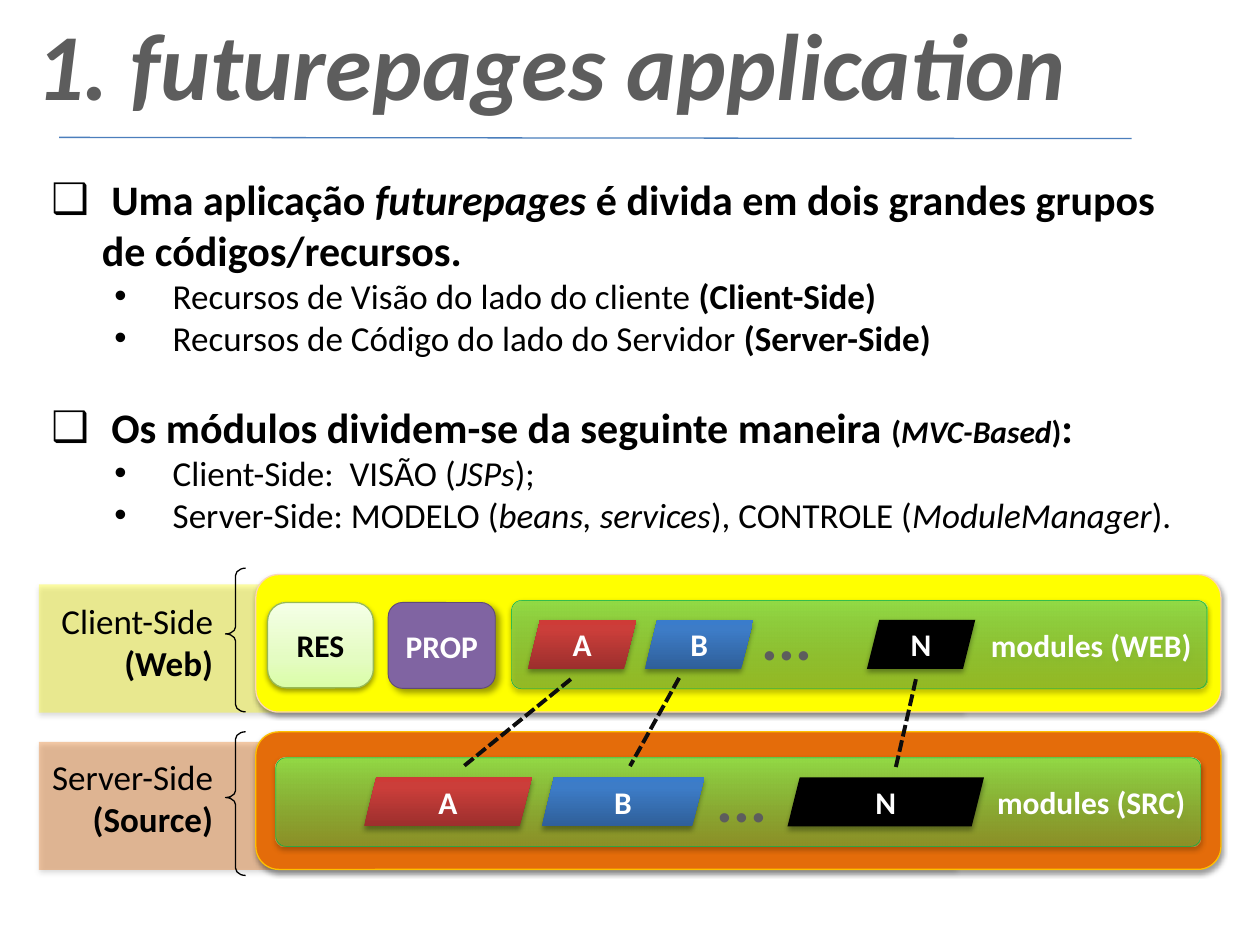
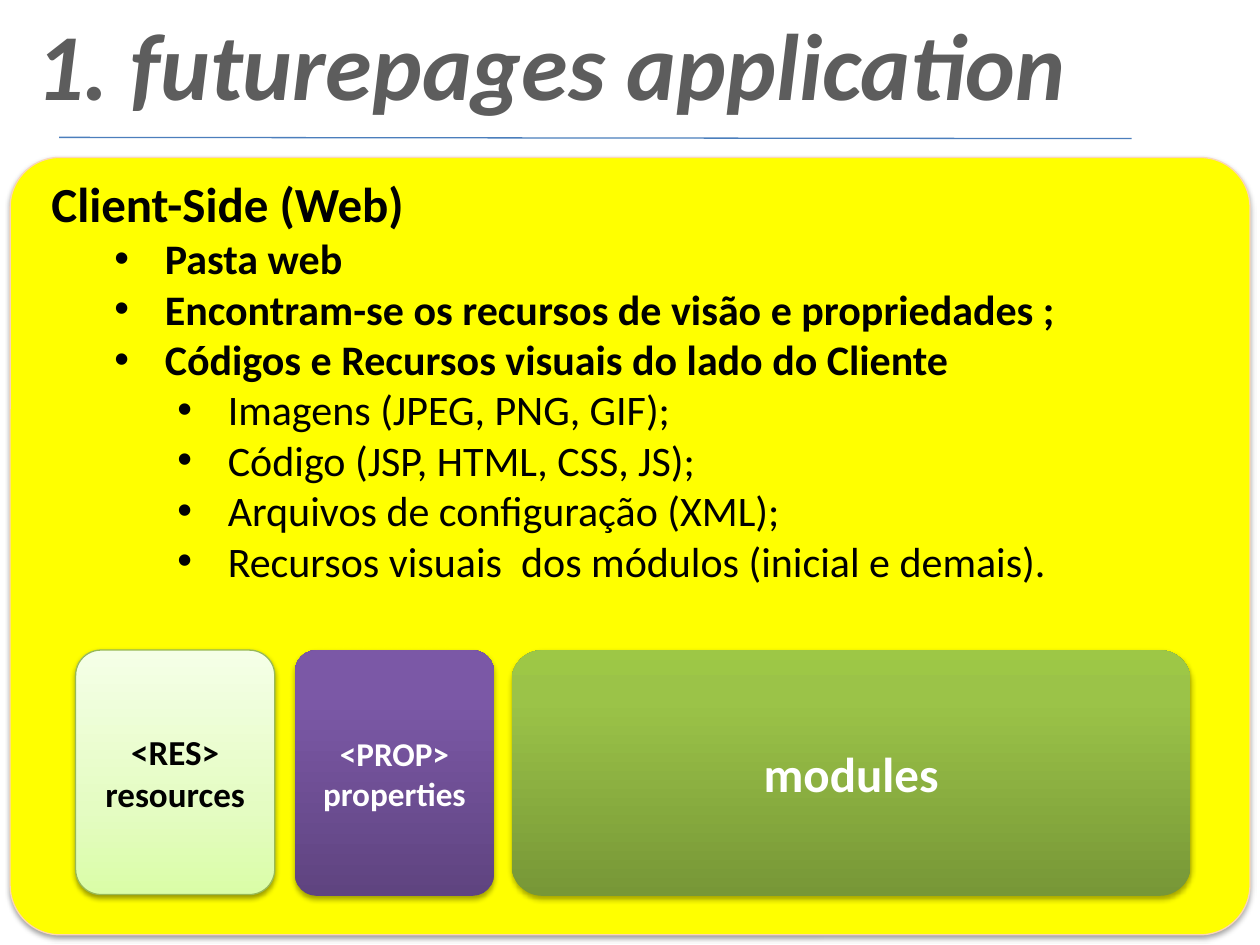
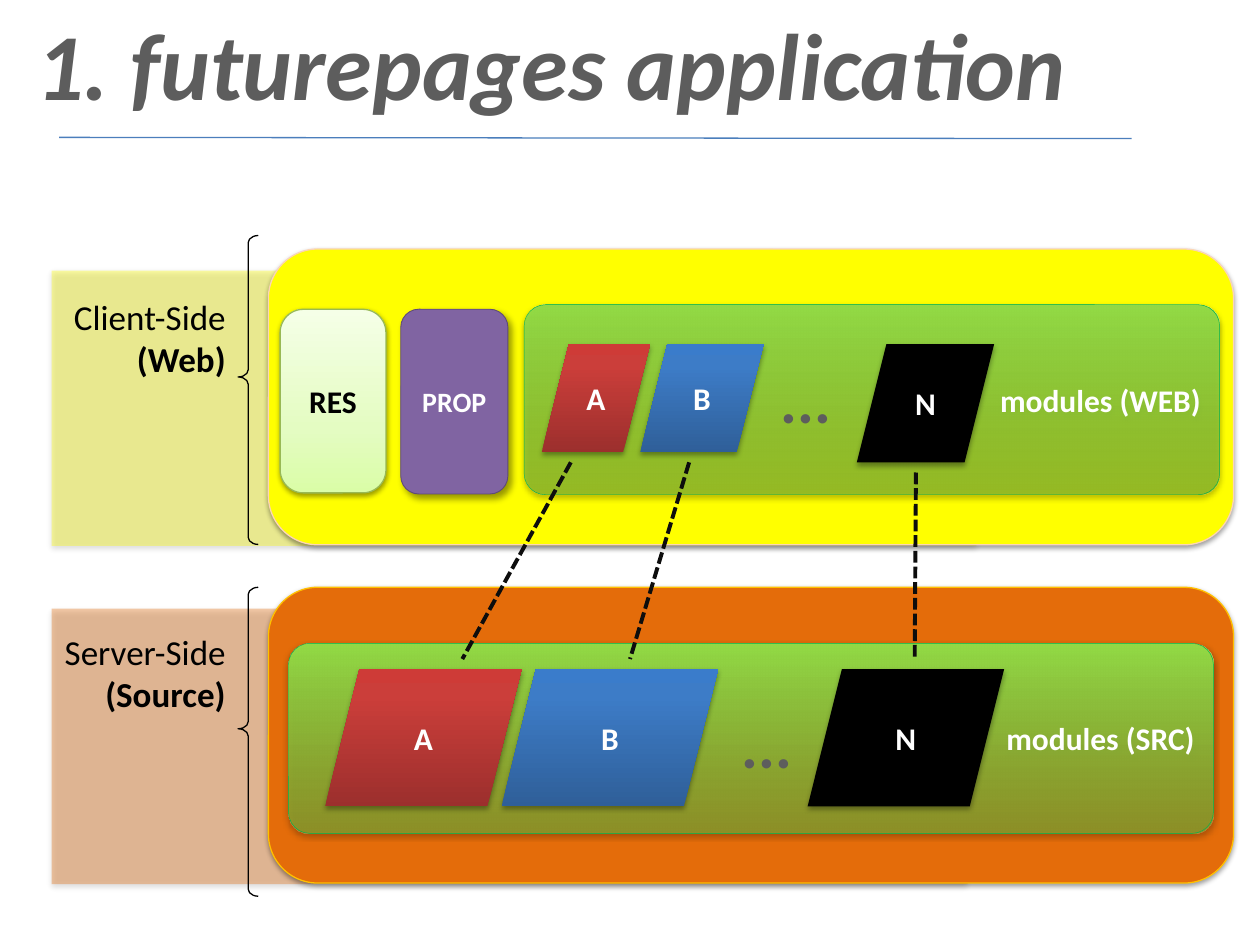
import lxml.etree
import pptx
import pptx.dml.color
import pptx.enum.dml
import pptx.enum.shapes
import pptx.enum.text
import pptx.oxml.ns
import pptx.util

Pt = pptx.util.Pt
RGB = pptx.dml.color.RGBColor.from_string
qn = pptx.oxml.ns.qn
SubElement = lxml.etree.SubElement
KIND = pptx.enum.shapes.MSO_SHAPE
ALIGN = pptx.enum.text.PP_ALIGN
DASH = pptx.enum.dml.MSO_LINE

SOFT = (38, 3.1, 1.6, 90)
TILE = (35, 3.1, 1.8, 90)
SIDE = (40, 4, 3, 45)
THEME = {
    "font": "Calibri",
    "text": "000000",
    "inverse": "FFFFFF",
    "title": "5D5D5D",
    "rule": "4B7EBC",
    "link": "0D0D0D",
    "size": {"title": 54, "dots": 36, "big": 28, "head": 24, "body": 20,
             "properties": 19, "label": 18, "small": 16},
    "styles": {
        "client": ([(0, "FFFF00", 100)], ("FCD5B5", 0.75), SOFT),
        "server": ([(0, "E46C0A", 100)], ("FFC000", 0.75), SOFT),
        "client back": ([(0, "FFFF00", 35)], None, SOFT),
        "server back": ([(0, "E46C0A", 35)], None, SOFT),
        "modules": ([(0, "7BB73B", 61), (100, "92DA46", 100)], ("00B050", 0.25), SOFT),
        "modules big": ([(0, "779737", 100), (80, "9BC348", 100), (100, "9DC746", 100)], None, TILE),
        "prop": ([(0, "8064A2", 100)], ("5F4A78", 0.5), SIDE),
        "prop big": ([(0, "5F4480", 100), (80, "7B58A6", 100), (100, "7C57A8", 100)], None, TILE),
        "res": ([(0, "DAFDA7", 100), (35, "E4FCC2", 100), (100, "F5FFE7", 100)], ("98B955", 0.75), SOFT),
        "A": ([(0, "9C2F2D", 100), (80, "CB3E3A", 100), (100, "CE3B37", 100)], None, TILE),
        "B": ([(0, "2F5F99", 100), (80, "3D7CC7", 100), (100, "3A7CCB", 100)], None, TILE),
        "N": ([(0, "000000", 100)], None, TILE),
        "brace": (None, ("000000", 0.75), None),
    },
}
SIZE = THEME["size"]


def write(sp, paras, size, color="text", align=ALIGN.CENTER, wrap=True):
    tf = sp.text_frame
    tf.word_wrap = wrap
    for i, runs in enumerate(paras):
        p = tf.add_paragraph() if i else tf.paragraphs[0]
        p.alignment = align
        for text, flags, *own_size in runs:
            r = p.add_run()
            r.text = text
            r.font.name = THEME["font"]
            r.font.size = Pt(SIZE[own_size[0] if own_size else size])
            r.font.bold = "b" in flags
            r.font.italic = "i" in flags
            r.font.color.rgb = RGB(THEME[color])
    return tf


def add_box(s, style, box, adj=(), kind=KIND.ROUNDED_RECTANGLE):
    stops, line, shadow = THEME["styles"][style]
    sp = s.shapes.add_shape(kind, *map(Pt, box))
    for i, value in enumerate(adj):
        sp.adjustments[i] = value
    if stops is None:
        sp.fill.background()
    elif len(stops) == 1:
        sp.fill.solid()
        sp.fill.fore_color.rgb = RGB(stops[0][1])
        if stops[0][2] < 100:
            clr = sp._element.spPr.find(".//" + qn("a:srgbClr"))
            SubElement(clr, qn("a:alpha"), val=str(stops[0][2] * 1000))
    else:
        sp.fill.gradient()
        sp.fill.gradient_angle = 90
        gs_list = sp._element.spPr.find(".//" + qn("a:gsLst"))
        for gs in list(gs_list):
            gs_list.remove(gs)
        for pos, color, alpha in stops:
            gs = SubElement(gs_list, qn("a:gs"), pos=str(pos * 1000))
            clr = SubElement(gs, qn("a:srgbClr"), val=color)
            if alpha < 100:
                SubElement(clr, qn("a:alpha"), val=str(alpha * 1000))
    if line:
        sp.line.color.rgb = RGB(line[0])
        sp.line.width = Pt(line[1])
    else:
        sp.line.fill.background()
    sp.shadow.inherit = False
    if shadow:
        alpha, blur, dist, angle = shadow
        effects = sp._element.spPr.find(qn("a:effectLst"))
        outer = SubElement(effects, qn("a:outerShdw"), blurRad=str(Pt(blur)), dist=str(Pt(dist)),
                           dir=str(angle * 60000), rotWithShape="0")
        clr = SubElement(outer, qn("a:srgbClr"), val="000000")
        SubElement(clr, qn("a:alpha"), val=str(alpha * 1000))
    return sp


prs = pptx.Presentation()
prs.slide_width = Pt(720)
prs.slide_height = Pt(540)

lines = []
slides = []
for _ in range(3):
    s = prs.slides.add_slide(prs.slide_layouts[6])
    slides.append(s)
    sp = s.shapes.add_textbox(Pt(0), Pt(0), Pt(630), Pt(72.7))
    write(sp, [[("1. futurepages application", "bi")]], "title", "title")
    lines.append((s, (33.8, 78.5, 646.6, 79.2), "rule", 0.75, None))

overview, client, modules = slides

diagrams = [
    {
        "slide": overview, "left": 0, "top": 324.7, "stretch": 1, "prop": "label",
        "tiles": [
            ("A", (301.7, 354.2, 61.9, 28.1)), ("A", (208.1, 444.2, 95.8, 28.1)),
            ("B", (368.6, 354.2, 61.9, 28.1)), ("B", (309.6, 444.2, 92.9, 28.1)),
            ("N", (495.4, 354.2, 61.9, 28.1)), ("N", (450, 444.2, 112.3, 28.1)),
        ],
        "links": [(326.2, 388.1, 264.2, 438.5), (388.1, 387.4, 360, 437.8), (523.4, 388.1, 511.9, 438.5)],
        "dots": [(427.7, 337.7), (401.8, 430.6)],
    },
    {
        "slide": modules, "left": 7.2, "top": 134.6, "stretch": 2.15, "prop": "small",
        "tiles": [
            ("A", (309.6, 196.6, 61.9, 61.9)), ("A", (185.8, 382.3, 112.3, 78.5)),
            ("B", (365.8, 196.6, 70.6, 61.9)), ("B", (286.6, 382.3, 123.8, 78.5)),
            ("N", (489.6, 196.6, 78.5, 67.7)), ("N", (461.5, 382.3, 112.3, 78.5)),
        ],
        "links": [(326.2, 264.2, 264.2, 376.6), (393.8, 264.2, 360, 376.6), (523.4, 270, 522.7, 377.3)],
        "dots": [(438.5, 202.3), (416.2, 399.6)],
    },
]

panels = [
    ("client back", (22.3, 9.3, 528.5, 73.2), [0], None),
    ("server back", (22.3, 99.2, 523.4, 73.2), [0], None),
    ("client", (146.2, 3.6, 551.5, 78.6), [], None),
    ("server", (146.2, 93.5, 551.5, 78.6), [], None),
    ("modules", (292.3, 18.4, 397.4, 50.5), [0.112], "modules (WEB)"),
    ("prop", (221.8, 19.6, 61.2, 49.1), [0.168], "PROP"),
    ("res", (152.9, 19.6, 60.5, 48.8), [0.219], "RES"),
    ("modules", (157.7, 108.4, 528.5, 50.5), [0.112], "modules (SRC)"),
]
sides = [
    ("Client-Side", "(Web)", (25.9, 14.4, 103, 55.5), 0),
    ("Server-Side", "(Source)", (20.9, 103.4, 108, 55.5), 93.5),
]

for d in diagrams:
    s, left, top, stretch = d["slide"], d["left"], d["top"], d["stretch"]
    for style, (x, y, w, h), adj, label in panels:
        sp = add_box(s, style, (left + x, top + y * stretch, w, h * stretch), adj)
        if label:
            write(sp, [[(label, "b")]], d["prop"] if style == "prop" else "label",
                  "text" if style == "res" else "inverse",
                  ALIGN.RIGHT if style == "modules" else ALIGN.CENTER)
    for name, place, (x, y, w, h), brace_y in sides:
        sp = s.shapes.add_textbox(Pt(left + x), Pt(top + y * stretch), Pt(w), Pt(h * stretch))
        write(sp, [[(name, "")], [(place, "b")]], "body", align=ALIGN.RIGHT, wrap=False)
        add_box(s, "brace", (left + 128.9, top + brace_y * stretch, 11.5, 82.1 * stretch),
                [0.356, 0.458], KIND.LEFT_BRACE)
    for name, box in d["tiles"]:
        sp = add_box(s, name, box, kind=KIND.PARALLELOGRAM)
        write(sp, [[(name, "b")]], "label", "inverse")
    for x, y in d["dots"]:
        sp = s.shapes.add_textbox(Pt(x), Pt(y), Pt(43.9), Pt(51.1))
        write(sp, [[("...", "b")]], "dots", "title", wrap=False)
    for ends in d["links"]:
        lines.append((s, ends, "link", 2.25, DASH.SQUARE_DOT))

add_box(client, "client", (5.8, 90, 708.5, 444.2), [0.064])
folders = [
    ("modules big", (292.3, 371.5, 388.1, 140.4), 0.125, ["modules"], "big", "inverse"),
    ("prop big", (168.5, 371.5, 113.8, 140.4), 0.108, ["<PROP>", "properties"], "properties", "inverse"),
    ("res", (43.2, 371.5, 113.8, 139.7), 0.127, ["<RES>", "resources"], "body", "text"),
]
for style, box, adj, words, size, color in folders:
    write(add_box(client, style, box, [adj]), [[(word, "b")] for word in words], size, color)

levels = {
    "plain": (28.8, None),
    "square": (28.8, "❑"),
    "point": (64.8, "•"),
    "subpoint": (100.8, "•"),
}
bodies = [
    (overview, "body", [
        ("square", 0, [(" Uma aplicação ", "b", "head"), ("futurepages", "bi", "head"),
                       (" é divida em dois grandes grupos de códigos/recursos.", "b", "head")]),
        ("point", 0, [(" Recursos de Visão do lado do cliente ", ""), ("(Client-Side)", "b")]),
        ("point", 0, [(" Recursos de Código do lado do Servidor ", ""), ("(Server-Side)", "b")]),
        ("square", 24.4, [(" Os módulos dividem-se da seguinte maneira ", "b", "head"), ("(", "b", "label"),
                          ("MVC-Based", "bi", "label"), (")", "b", "label"), (":", "b", "head")]),
        ("point", 0, [(" Client-Side:  VISÃO (", ""), ("JSPs", "i"), (");", "")]),
        ("point", 0, [(" ", "b"), ("Server-Side: MODELO (", ""), ("beans, services", "i"),
                      ("), CONTROLE (", ""), ("ModuleManager", "i"), (").", "")]),
    ]),
    (client, "head", [
        ("plain", 0, [("Client-Side (Web)", "b", "big")]),
        ("point", 0, [("Pasta web", "b")]),
        ("point", 0, [("Encontram-se os recursos de visão e propriedades ;", "b")]),
        ("point", 0, [("Códigos e Recursos visuais do lado do Cliente", "b")]),
        ("subpoint", 0, [("Imagens (JPEG, PNG, GIF);", "")]),
        ("subpoint", 0, [("Código (JSP, HTML, CSS, JS);", "")]),
        ("subpoint", 0, [("Arquivos de configuração (XML);", "")]),
        ("subpoint", 0, [("Recursos visuais  dos módulos (inicial e demais).", "")]),
    ]),
]
for s, size, items in bodies:
    sp = s.shapes.add_textbox(Pt(22.3), Pt(95.8), Pt(658.1), Pt(244.8))
    tf = write(sp, [runs for _, _, runs in items], size, align=ALIGN.LEFT)
    for p, (level, gap, _) in zip(tf.paragraphs, items):
        margin, bullet = levels[level]
        p.space_before = Pt(gap)
        pPr = p._p.get_or_add_pPr()
        pPr.set("marL", str(Pt(margin)))
        pPr.set("indent", str(Pt(-28.8)))
        if bullet:
            SubElement(pPr, qn("a:buFont"), typeface="Arial")
            SubElement(pPr, qn("a:buChar"), char=bullet)

for s, ends, color, width, dash in lines:
    cn = s.shapes.add_connector(pptx.enum.shapes.MSO_CONNECTOR.STRAIGHT, *map(Pt, ends))
    cn.line.color.rgb = RGB(THEME[color])
    cn.line.width = Pt(width)
    if dash:
        cn.line.dash_style = dash
    SubElement(cn._element.spPr, qn("a:effectLst"))

prs.save("out.pptx")
